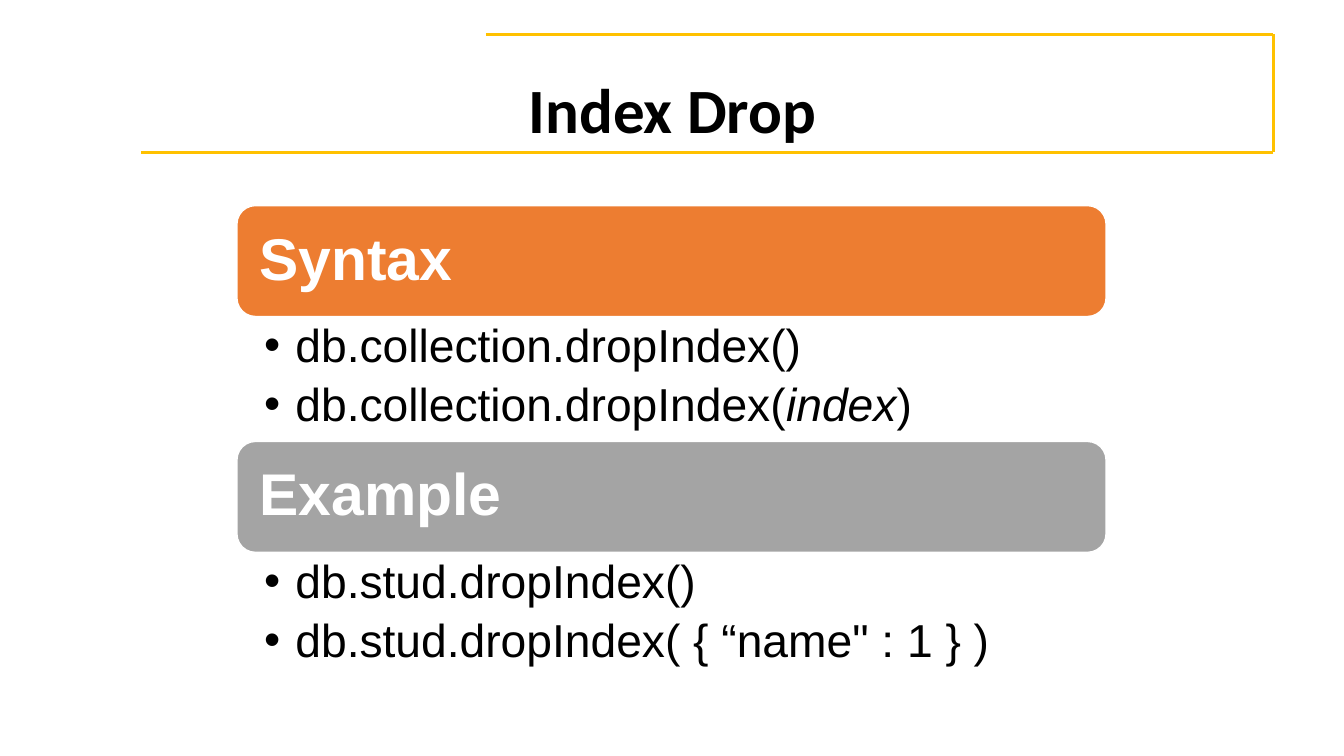
from itertools import pairwise

from lxml.etree import SubElement
from pptx import Presentation
from pptx.dml.color import RGBColor
from pptx.enum.shapes import MSO_CONNECTOR, MSO_SHAPE
from pptx.enum.text import MSO_ANCHOR, PP_ALIGN
from pptx.oxml.ns import qn
from pptx.util import Inches, Pt

HEADING_HEIGHT = 1.1
LIST_HEIGHT = 1.24
SECTION_HEIGHT = HEADING_HEIGHT + LIST_HEIGHT
BULLET_INDENT = 0.31

# Each list item is a sequence of (text, italic) runs.
SECTIONS = [
    ("Syntax", "ED7D31", [
        [("db.collection.dropIndex()", False)],
        [("db.collection.dropIndex(", False), ("index", True), (")", False)],
    ]),
    ("Example", "A4A4A4", [
        [("db.stud.dropIndex()", False)],
        [("db.stud.dropIndex( { “name\" : 1 } )", False)],
    ]),
]


def color(hex_string):
    return RGBColor.from_string(hex_string)


def set_frame(text_frame, anchor, left, top, right, bottom):
    text_frame.word_wrap = True
    text_frame.vertical_anchor = anchor
    text_frame.margin_left, text_frame.margin_top = Inches(left), Inches(top)
    text_frame.margin_right, text_frame.margin_bottom = Inches(right), Inches(bottom)


def style_paragraph(paragraph, font_name, size, hex_string, bold=False, align=PP_ALIGN.LEFT):
    paragraph.alignment = align
    paragraph.line_spacing = 0.9
    font = paragraph.font
    font.name, font.size, font.bold = font_name, Pt(size), bold
    font.color.rgb = color(hex_string)


def add_bullet(paragraph):
    properties = paragraph._p.get_or_add_pPr()
    properties.set("marL", str(Inches(BULLET_INDENT)))
    properties.set("indent", str(-Inches(BULLET_INDENT)))
    SubElement(properties, qn("a:buFont")).set("typeface", "Arial")
    SubElement(properties, qn("a:buChar")).set("char", "•")


def add_title_frame(slide, left, top, right, bottom, top_line_start):
    """Draw the open frame: a short top line, the right side and a full bottom line."""
    corners = [(top_line_start, top), (right, top), (right, bottom), (left, bottom)]
    for start, end in pairwise(corners):
        line = slide.shapes.add_connector(
            MSO_CONNECTOR.STRAIGHT, *map(Inches, start + end))
        line.line.color.rgb = color("FFC100")
        line.line.width = Pt(2)
        SubElement(line._element.spPr, qn("a:effectLst"))


def add_title(slide, text, left, top, width, height):
    title = slide.shapes.add_textbox(*map(Inches, (left, top, width, height)))
    set_frame(title.text_frame, MSO_ANCHOR.MIDDLE, 0.1, 0.05, 0.1, 0.05)
    paragraph = title.text_frame.paragraphs[0]
    paragraph.text = text
    style_paragraph(paragraph, "Calibri", 45, "000000", True, PP_ALIGN.CENTER)


def add_heading(slide, text, fill, left, top, width):
    heading = slide.shapes.add_shape(
        MSO_SHAPE.ROUNDED_RECTANGLE, *map(Inches, (left, top, width, HEADING_HEIGHT)))
    heading.shadow.inherit = False
    heading.fill.solid()
    heading.fill.fore_color.rgb = color(fill)
    heading.line.color.rgb = color("FFFFFF")
    heading.line.width = Pt(1)
    set_frame(heading.text_frame, MSO_ANCHOR.MIDDLE, 0.17, 0.17, 0.17, 0.17)
    paragraph = heading.text_frame.paragraphs[0]
    paragraph.text = text
    style_paragraph(paragraph, "Arial", 42, "FFFFFF", True)


def add_list(slide, items, left, top, width):
    box = slide.shapes.add_textbox(*map(Inches, (left, top, width, LIST_HEIGHT)))
    text_frame = box.text_frame
    set_frame(text_frame, MSO_ANCHOR.TOP, 0.27, 0.06, 0.33, 0.06)
    for number, item in enumerate(items):
        paragraph = text_frame.add_paragraph() if number else text_frame.paragraphs[0]
        style_paragraph(paragraph, "Arial", 33, "000000")
        paragraph.space_before = Pt(6.6 if number else 0)
        add_bullet(paragraph)
        for text, italic in item:
            run = paragraph.add_run()
            run.text = text
            if italic:
                run.font.italic = True


def add_sections(slide, left, top, width):
    for number, (heading, fill, items) in enumerate(SECTIONS):
        section_top = top + number * SECTION_HEIGHT
        add_heading(slide, heading, fill, left, section_top, width)
        add_list(slide, items, left, section_top + HEADING_HEIGHT, width)


def main():
    presentation = Presentation()
    presentation.slide_width, presentation.slide_height = Inches(13.33), Inches(7.5)
    slide = presentation.slides.add_slide(presentation.slide_layouts[6])
    add_title_frame(slide, left=1.4, top=0.34, right=12.63, bottom=1.51, top_line_start=4.82)
    add_title(slide, "Index Drop", left=0.92, top=0.4, width=11.5, height=1.45)
    add_sections(slide, left=2.35, top=2.04, width=8.62)
    presentation.save("out.pptx")


if __name__ == "__main__":
    main()
